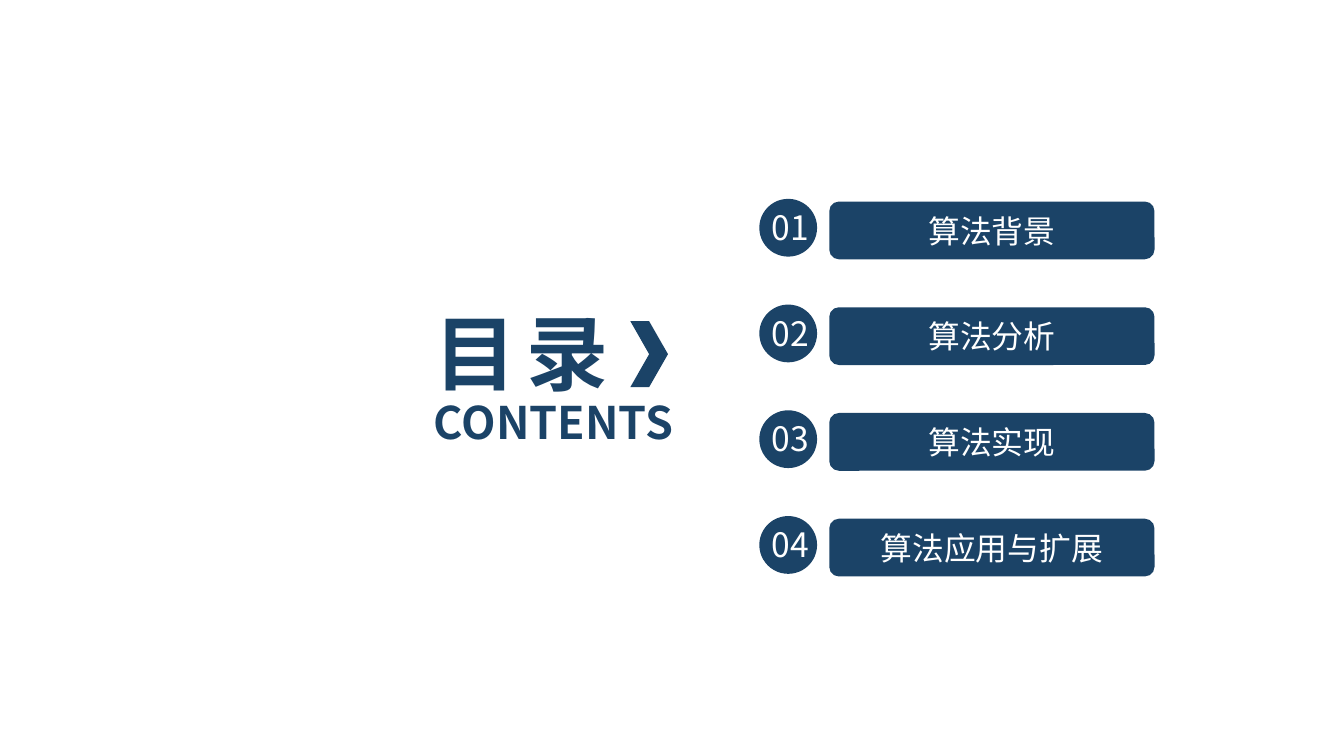
from pptx import Presentation
from pptx.dml.color import RGBColor
from pptx.enum.shapes import MSO_SHAPE
from pptx.enum.text import MSO_ANCHOR, PP_ALIGN
from pptx.oxml.ns import qn
from pptx.util import Inches, Pt

CIRCLE, PILL, CHEVRON = MSO_SHAPE.OVAL, MSO_SHAPE.ROUNDED_RECTANGLE, MSO_SHAPE.CHEVRON
LEFT, CENTER = PP_ALIGN.LEFT, PP_ALIGN.CENTER
MIDDLE = MSO_ANCHOR.MIDDLE

FONT = "Noto Sans CJK SC"
NAVY, WHITE = "1B4367", "FFFFFF"
TITLE_ONLY = 5
SLIDE_WIDTH = 10
SLIDE_HEIGHT = SLIDE_WIDTH * 9 / 16

CHAPTERS = ["算法背景", "算法分析", "算法实现", "算法应用与扩展"]
FIRST_ROW, LAST_ROW = 1.48, 3.84
ROW_PITCH = (LAST_ROW - FIRST_ROW) / (len(CHAPTERS) - 1)
BADGE_LEFT, BADGE_SIZE = 5.65, 0.43
PILL_LEFT, PILL_WIDTH, PILL_DROP = 6.17, 2.42, 0.02
HEADING_LEFT = 3.13


def color(hex_code):
    return RGBColor.from_string(hex_code)


def inches(*lengths):
    return [Inches(length) for length in lengths]


def write(box, text, size, ink, align=CENTER, bold=False, spacing=None):
    """Put one formatted line of text into a shape, text box or placeholder."""
    frame = box.text_frame
    frame.text = text
    frame.word_wrap = True
    frame.vertical_anchor = MIDDLE
    line = frame.paragraphs[0]
    line.alignment = align
    font = line.runs[0].font
    font.name, font.size, font.bold = FONT, Pt(size), bold
    font.color.rgb = color(ink)
    properties = line.runs[0]._r.get_or_add_rPr()
    east_asian = properties.makeelement(qn("a:ea"), {"typeface": FONT})
    properties.find(qn("a:latin")).addnext(east_asian)
    if spacing is not None:
        properties.set("spc", str(round(spacing * 100)))


def add_solid(shapes, preset, left, top, width, height):
    solid = shapes.add_shape(preset, *inches(left, top, width, height))
    solid.shadow.inherit = False
    solid.fill.solid()
    solid.fill.fore_color.rgb = color(NAVY)
    solid.line.fill.background()
    return solid


def add_chapter(slide, number, chapter):
    top = FIRST_ROW + (number - 1) * ROW_PITCH
    pill = add_solid(slide.shapes, PILL, PILL_LEFT, top + PILL_DROP, PILL_WIDTH, BADGE_SIZE)
    write(pill, chapter, 17, WHITE)

    badge = slide.shapes.add_group_shape()
    add_solid(badge.shapes, CIRCLE, BADGE_LEFT, top, BADGE_SIZE, BADGE_SIZE)
    label = badge.shapes.add_textbox(*inches(BADGE_LEFT - 0.03, top + 0.01, 0.52, 0.4))
    write(label, f"{number:02}", 18, WHITE)


def add_heading(slide):
    title = slide.shapes.title
    title.left, title.top, title.width, title.height = inches(HEADING_LEFT, 2.2, 2.35, 0.84)
    write(title, "目 录", 44, NAVY, LEFT, bold=True, spacing=-2.2)
    subtitle = slide.shapes.add_textbox(*inches(HEADING_LEFT, 2.89, 2.31, 0.5))
    write(subtitle, "CONTENTS", 24, NAVY, LEFT, bold=True)
    add_solid(slide.shapes, CHEVRON, 4.69, 2.39, 0.28, 0.49)


def main():
    deck = Presentation()
    deck.slide_width, deck.slide_height = inches(SLIDE_WIDTH, SLIDE_HEIGHT)
    slide = deck.slides.add_slide(deck.slide_layouts[TITLE_ONLY])
    add_heading(slide)
    for number, chapter in enumerate(CHAPTERS, start=1):
        add_chapter(slide, number, chapter)
    deck.save("out.pptx")


if __name__ == "__main__":
    main()
